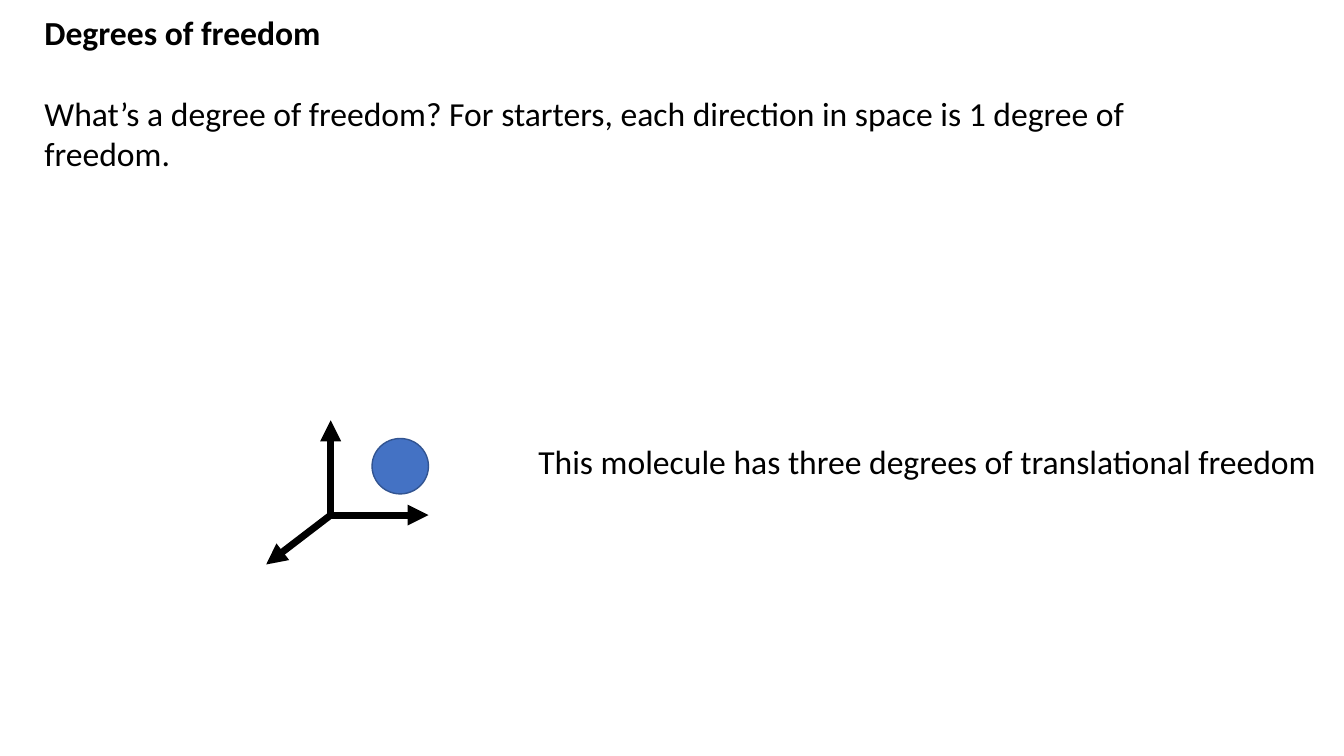
from dataclasses import dataclass

from lxml import etree
from pptx import Presentation
from pptx.dml.color import RGBColor
from pptx.enum.shapes import MSO_CONNECTOR, MSO_SHAPE
from pptx.enum.text import MSO_ANCHOR, MSO_AUTO_SIZE, PP_ALIGN
from pptx.oxml.ns import qn
from pptx.util import Inches, Pt

LINE = MSO_CONNECTOR.STRAIGHT
OVAL = MSO_SHAPE.OVAL
TOP = MSO_ANCHOR.TOP
FIXED = MSO_AUTO_SIZE.NONE
LEFT = PP_ALIGN.LEFT


@dataclass
class Theme:
    font: str = "Calibri"
    size: Pt = Pt(24)
    ink: RGBColor = RGBColor(0, 0, 0)
    ball: RGBColor = RGBColor(0x44, 0x72, 0xC4)
    edge: RGBColor = RGBColor(0x32, 0x54, 0x91)


theme = Theme()


def write(shape, place, words, bold=False):
    shape.left, shape.top, shape.width, shape.height = map(Inches, place)
    frame = shape.text_frame
    frame.word_wrap = True
    frame.auto_size = FIXED
    frame.vertical_anchor = TOP
    para = frame.paragraphs[0]
    props = para._p.get_or_add_pPr()
    props.set("marL", "0")
    props.set("indent", "0")
    etree.SubElement(props, qn("a:buNone"))
    para.alignment = LEFT
    para.space_before = Pt(0)
    run = para.add_run()
    run.text = words
    run.font.name = theme.font
    run.font.size = theme.size
    run.font.bold = bold
    run.font.color.rgb = theme.ink


deck = Presentation()
deck.slide_width = Inches(13.33)
deck.slide_height = Inches(7.5)
slide = deck.slides.add_slide(deck.slide_layouts[1])
shapes = slide.shapes

write(shapes.title, (0.34, 0.07, 11.5, 0.5), "Degrees of freedom", True)
write(
    slide.placeholders[1],
    (0.34, 0.87, 11.5, 0.92),
    "What’s a degree of freedom? For starters, each direction in space is 1 degree of freedom.",
)

ball = shapes.add_shape(OVAL, Inches(3.69), Inches(4.35), Inches(0.56), Inches(0.55))
ball.shadow.inherit = False
ball.fill.solid()
ball.fill.fore_color.rgb = theme.ball
ball.line.color.rgb = theme.edge
ball.line.width = Pt(1)

root = Inches(3.28), Inches(5.11)
for x, y in ((2.64, 5.6), (3.28, 4.17), (4.25, 5.11)):
    axis = shapes.add_connector(LINE, *root, Inches(x), Inches(y))
    axis.line.color.rgb = theme.ink
    axis.line.width = Pt(5)
    etree.SubElement(axis.line._get_or_add_ln(), qn("a:tailEnd"), type="triangle")
    etree.SubElement(axis._element.spPr, qn("a:effectLst"))

place = (5.24, 4.33, 8.09, 0.5)
note = shapes.add_textbox(*map(Inches, place))
write(note, place, "This molecule has three degrees of translational freedom")

deck.save("out.pptx")
